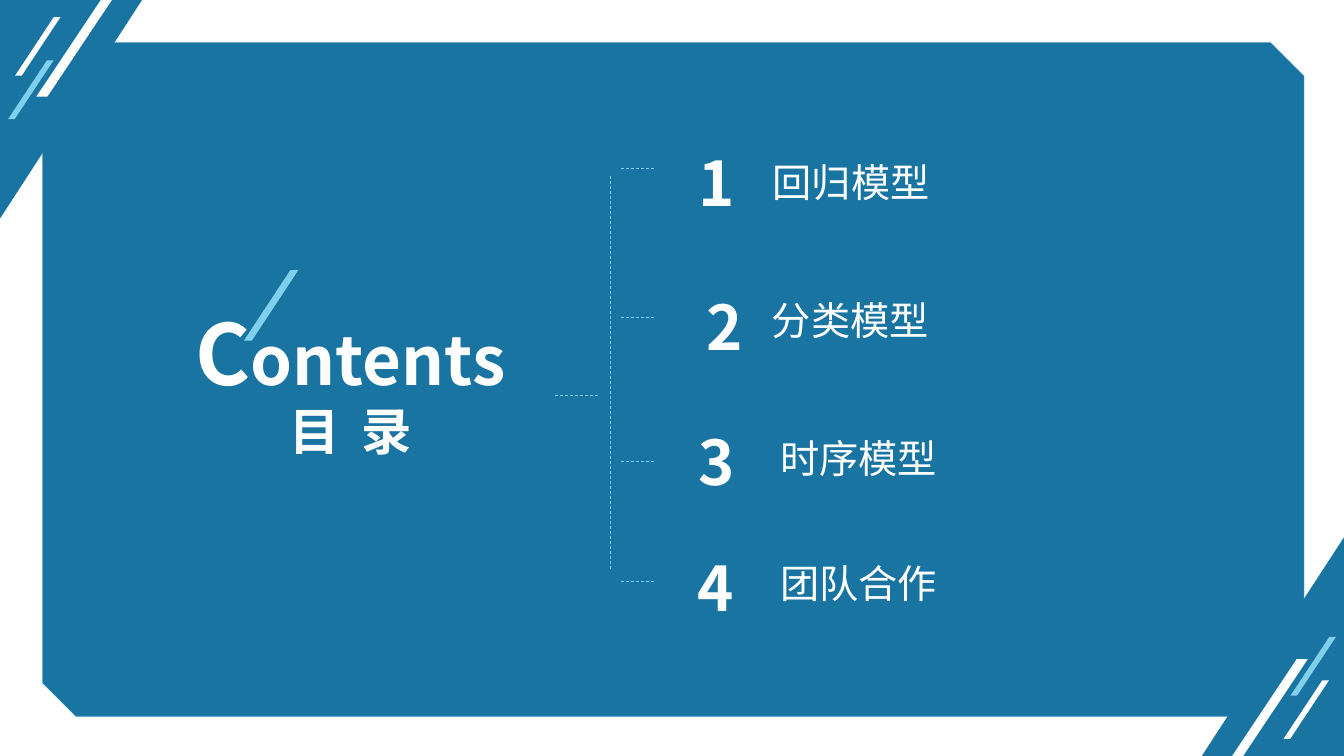
"""Builds the contents slide of a deck about models."""
from lxml import etree
from pptx import Presentation
from pptx.dml.color import RGBColor
from pptx.enum import dml, shapes, text
from pptx.oxml.ns import qn
from pptx.util import Pt

BLUE = RGBColor(0x19, 0x74, 0xA2)
SKY = RGBColor(0x7F, 0xCF, 0xED)
WHITE = RGBColor(0xFF, 0xFF, 0xFF)
FONT = "Noto Sans CJK SC"
WIDE, HIGH = 960, 540
KIND = shapes.MSO_SHAPE


def draw(kind, x, y, w, h, fill, adj=()):
    """Add a preset shape with a plain fill."""
    item = slide.shapes.add_shape(kind, Pt(x), Pt(y), Pt(w), Pt(h))
    item.shadow.inherit = False
    item.fill.solid()
    item.fill.fore_color.rgb = fill
    item.line.fill.background()
    for i, value in enumerate(adj):
        item.adjustments[i] = value
    return item


def write(item, *parts, bold=False, wrap=False, align=text.PP_ALIGN.LEFT,
          anchor=text.MSO_ANCHOR.TOP, gap=0):
    """Fill a shape with one line made of (words, size) parts."""
    frame = item.text_frame
    frame.word_wrap = wrap
    frame.auto_size = text.MSO_AUTO_SIZE.NONE
    frame.vertical_anchor = anchor
    line = frame.paragraphs[0]
    line.alignment = align
    for words, size in parts:
        run = line.add_run()
        run.text = words
        run.font.size = Pt(size)
        run.font.bold = bold
        run.font.name = FONT
        run.font.color.rgb = WHITE
        props = run.font._element
        props.find(qn("a:latin")).addnext(
            props.makeelement(qn("a:ea"), {"typeface": FONT}))
        if gap:
            props.set("spc", str(gap * 100))


deck = Presentation()
deck.slide_width, deck.slide_height = Pt(WIDE), Pt(HIGH)
slide = deck.slides.add_slide(deck.slide_layouts[5])

panel = draw(KIND.SNIP_2_DIAG_RECTANGLE, 30.2, 30.2, 901.4, 481.7, BLUE, (0, 0.05))
panel.line.color.rgb = SKY
panel.line.width = Pt(1)
tint = panel.line.fill._xPr.find(".//" + qn("a:srgbClr"))
etree.SubElement(tint, qn("a:alpha"), val="20000")

stripes = [(25.9, 0, 54, 69.1, WHITE), (5.8, 43.2, 32.4, 41.8, SKY),
           (10.8, 12.2, 32.4, 41.8, WHITE)]
for turned in (False, True):
    w, h = 101.5, 156.2
    x, y = (WIDE - w, HIGH - h) if turned else (0, 0)
    corner = draw(KIND.RIGHT_TRIANGLE, x, y, w, h, BLUE)
    corner.element.spPr.xfrm.set("flipH" if turned else "flipV", "1")
    for x, y, w, h, fill in stripes:
        if turned:
            x, y = WIDE - x - w, HIGH - y - h
        draw(KIND.PARALLELOGRAM, x, y, w, h, fill, (0.854,))

label = slide.shapes.add_textbox(Pt(199.4), Pt(282.2), Pt(103.7), Pt(51))
write(label, ("目 录", 36), bold=True, gap=4)
draw(KIND.PARALLELOGRAM, 174.2, 193, 38.9, 50.4, SKY, (0.854,))
title = slide.shapes.title
title.left, title.top, title.width, title.height = Pt(132.5), Pt(211.7), Pt(238.3), Pt(80)
write(title, ("C", 60), ("ontents", 48), bold=True)
slide.shapes._spTree.append(title.element)

ticks = [(443.5, y, 467.3, y) for y in (120.2, 226.8, 329.8, 415.4)]
for x1, y1, x2, y2 in ticks + [(436.3, 126, 436.3, 406.8), (396.7, 282.2, 427.7, 282.2)]:
    rule = slide.shapes.add_connector(
        shapes.MSO_CONNECTOR.STRAIGHT, Pt(x1), Pt(y1), Pt(x2), Pt(y2))
    rule.line.color.rgb = SKY
    rule.line.width = Pt(0.5)
    rule.line.dash_style = dml.MSO_LINE.DASH
    etree.SubElement(rule.element.spPr, qn("a:effectLst"))

topics = [("回归模型", 479.5, 97.2, 545, 109.4), ("分类模型", 484.6, 200.2, 544.3, 208.1),
          ("时序模型", 479.5, 296.6, 550.1, 306.7), ("团队合作", 478.8, 386.6, 550.1, 396)]
for rank, (topic, x, y, left, top) in enumerate(topics, 1):
    badge = draw(KIND.PARALLELOGRAM, x, y, 65.5, 65.5, BLUE)
    write(badge, (str(rank), 44), bold=True, wrap=True,
          align=text.PP_ALIGN.CENTER, anchor=text.MSO_ANCHOR.MIDDLE)
    box = slide.shapes.add_textbox(Pt(left), Pt(top), Pt(126.7), Pt(41))
    write(box, (topic, 28))

deck.save("out.pptx")
